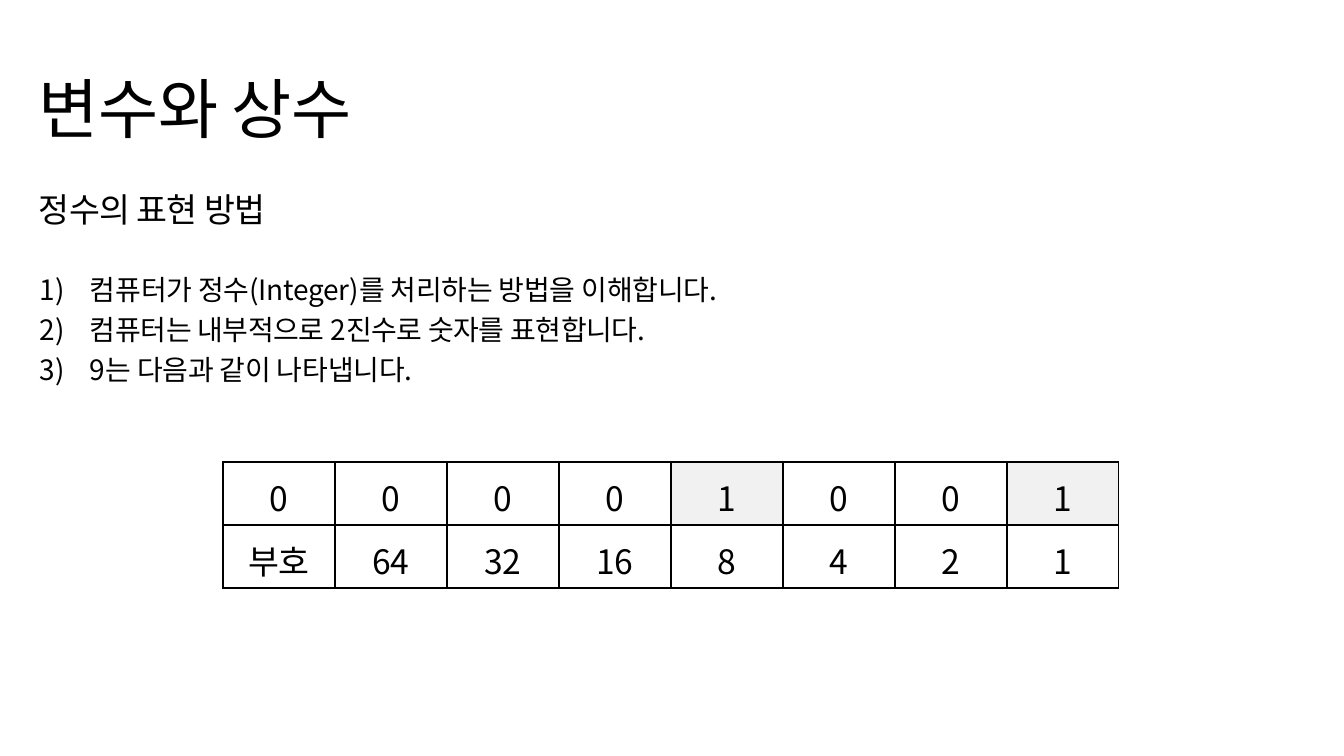
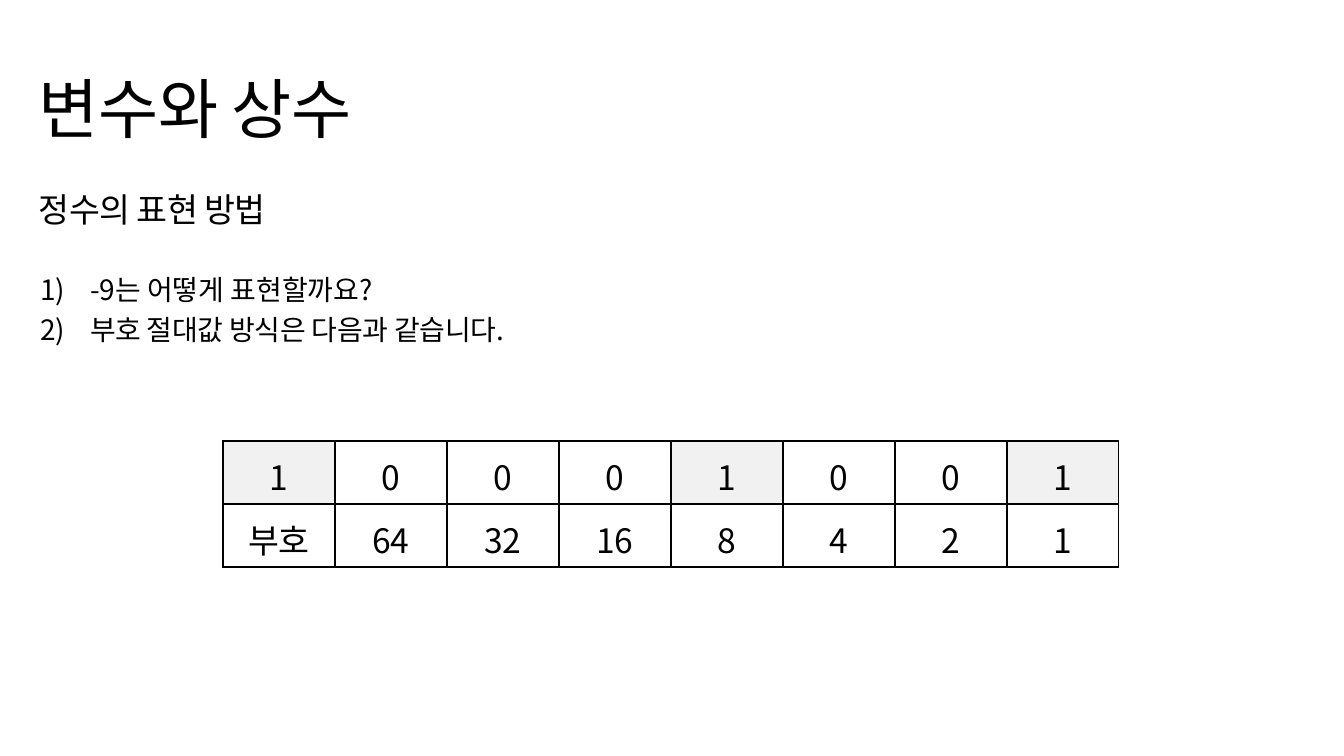
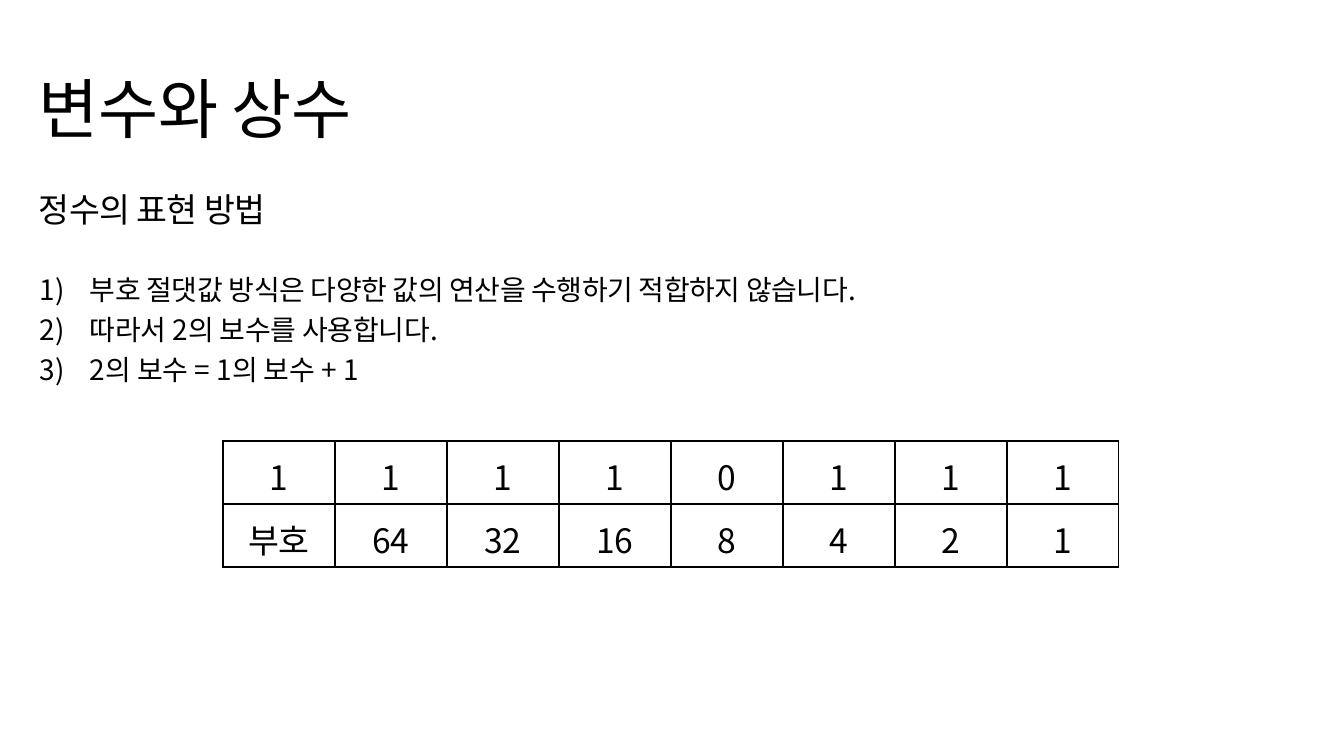
from lxml import etree
from pptx import Presentation
from pptx.dml.color import RGBColor
from pptx.enum.text import MSO_AUTO_SIZE, PP_ALIGN
from pptx.oxml.ns import qn
from pptx.util import Emu, Pt

PX = 914400 / 134.4
FONT = "Noto Sans CJK KR"
BLACK = RGBColor(0x00, 0x00, 0x00)
BIT_GRAY = RGBColor(0xF1, 0xF1, 0xF1)
CENTER = PP_ALIGN.CENTER
GROW = MSO_AUTO_SIZE.SHAPE_TO_FIT_TEXT

LEFT, TITLE_TOP, TITLE_HEIGHT, BODY_TOP = 38, 67, 79, 188
LINE_STEP, INDENT, HANGING = 40, 52, 50
TABLE_LEFT, COLUMN_WIDTH, ROW_HEIGHT = 223, 112, 63
PLACE_VALUES = ["부호", "64", "32", "16", "8", "4", "2", "1"]

# Each point is its wording and its letter spacing in hundredths of a point.
PAGES = [
    dict(title_width=656, body_width=1059, table_top=462,
         bits="00001001", shaded=(4, 7),
         points=[("컴퓨터가 정수(Integer)를 처리하는 방법을 이해합니다.", -10),
                 ("컴퓨터는 내부적으로 2진수로 숫자를 표현합니다.", -20),
                 ("9는 다음과 같이 나타냅니다.", -10)]),
    dict(title_width=567, body_width=847, table_top=441,
         bits="10001001", shaded=(0, 4, 7),
         points=[("-9는 어떻게 표현할까요?", 0),
                 ("부호 절대값 방식은 다음과 같습니다.", -15)]),
    dict(title_width=702, body_width=1004, table_top=441,
         bits="11110111", shaded=(),
         points=[("부호 절댓값 방식은 다양한 값의 연산을 수행하기 적합하지 않습니다.", -20),
                 ("따라서 2의 보수를 사용합니다.", -15),
                 ("2의 보수 = 1의 보수 + 1", -5)]),
]


def px(count):
    return Emu(round(count * PX))


def write(para, text, size, spacing=0):
    """Fill a paragraph and style its runs, Korean font included."""
    para.text = text
    for span in para.runs:
        span.font.size = Pt(size)
        span.font.name = FONT
        span.font.color.rgb = BLACK
        properties = span.font._element
        properties.set("spc", str(spacing))
        etree.SubElement(properties, qn("a:ea"), typeface=FONT)


deck = Presentation()
deck.slide_width, deck.slide_height = px(1344), px(756)

for content in PAGES:
    page = deck.slides.add_slide(deck.slide_layouts[6])
    points = content["points"]

    title = page.shapes.add_textbox(px(LEFT), px(TITLE_TOP),
                                    px(content["title_width"]), px(TITLE_HEIGHT))
    body = page.shapes.add_textbox(px(LEFT), px(BODY_TOP), px(content["body_width"]),
                                   px(71 + LINE_STEP * len(points)))
    for box, heading, size in ((title, "변수와 상수", 35), (body, "정수의 표현 방법", 18)):
        frame = box.text_frame
        frame.word_wrap = True
        frame.auto_size = GROW
        frame.margin_left = frame.margin_right = frame.margin_bottom = 0
        frame.margin_top = px(1)
        para = frame.paragraphs[0]
        para.space_before = Pt(1)
        para._p.get_or_add_pPr().set("marL", str(px(1)))
        write(para, heading, size, -35)

    for number, (text, spacing) in enumerate(points):
        para = body.text_frame.add_paragraph()
        para.space_before = Pt(3.6 if number else 23)
        layout = para._p.get_or_add_pPr()
        layout.set("marL", str(px(INDENT)))
        layout.set("indent", str(-px(HANGING)))
        etree.SubElement(layout, qn("a:buFont"), typeface=FONT)
        etree.SubElement(layout, qn("a:buAutoNum"), type="arabicParenR")
        write(para, text, 15, spacing)

    rows = [list(content["bits"]), PLACE_VALUES]
    columns = len(PLACE_VALUES)
    table = page.shapes.add_table(len(rows), columns, px(TABLE_LEFT), px(content["table_top"]),
                                  px(COLUMN_WIDTH * columns), px(ROW_HEIGHT * len(rows))).table
    table.first_row = table.horz_banding = False
    for row, values in enumerate(rows):
        table.rows[row].height = px(ROW_HEIGHT)
        for column, value in enumerate(values):
            cell = table.cell(row, column)
            cell.margin_left = cell.margin_right = cell.margin_bottom = 0
            cell.margin_top = px(11)
            para = cell.text_frame.paragraphs[0]
            para.alignment = CENTER
            write(para, value, 18, -20 if value == "부호" else 0)
            for side in ("a:lnL", "a:lnR", "a:lnT", "a:lnB"):
                border = etree.SubElement(cell._tc.get_or_add_tcPr(), qn(side), w=str(Pt(1)))
                fill = etree.SubElement(border, qn("a:solidFill"))
                etree.SubElement(fill, qn("a:srgbClr"), val=str(BLACK))
            if row == 0 and column in content["shaded"]:
                cell.fill.solid()
                cell.fill.fore_color.rgb = BIT_GRAY
            else:
                cell.fill.background()

deck.save("out.pptx")
